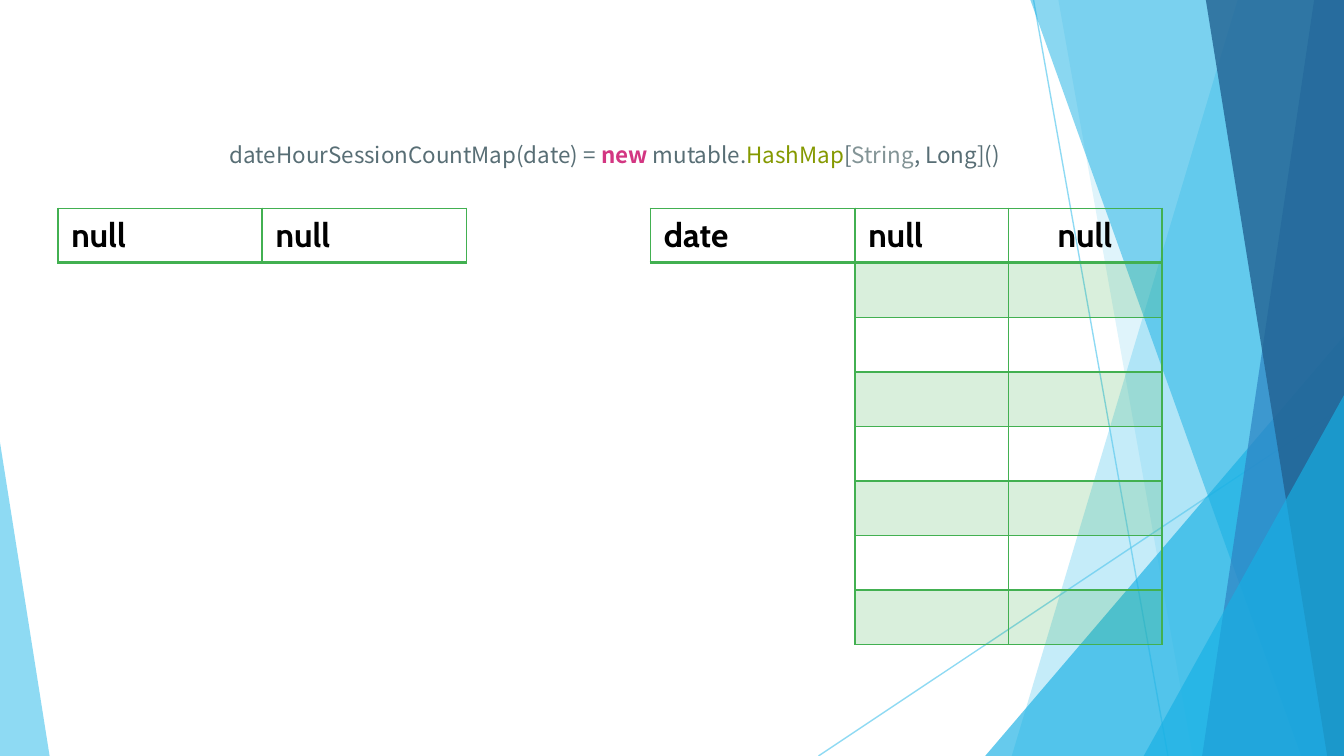
from dataclasses import dataclass

from lxml import etree
from pptx import Presentation
from pptx.dml.color import RGBColor
from pptx.enum.shapes import MSO_CONNECTOR, MSO_SHAPE
from pptx.enum.text import MSO_ANCHOR, MSO_AUTO_SIZE, PP_ALIGN
from pptx.oxml.ns import qn
from pptx.util import Pt

STRAIGHT = MSO_CONNECTOR.STRAIGHT
TRIANGLE = MSO_SHAPE.ISOSCELES_TRIANGLE
TOP = MSO_ANCHOR.TOP
GROW = MSO_AUTO_SIZE.SHAPE_TO_FIT_TEXT
LEFT, CENTER = PP_ALIGN.LEFT, PP_ALIGN.CENTER

WIDTH, HEIGHT = 720, 405
ROW_HEIGHT = 29.2
TABLE_TOP = 111.6
EMU_PER_POINT = 12700


@dataclass(frozen=True)
class Theme:
    sky: str = "5FCBEF"
    cyan: str = "17B0E4"
    blue: str = "2E83C3"
    navy: str = "226292"
    green: str = "42B051"
    black: str = "000000"
    code: str = "586E75"
    keyword: str = "D33682"
    type_name: str = "859900"
    muted: str = "839496"
    cell_font: str = "Cabin"
    code_font: str = "Noto Sans CJK SC"
    cell_size: int = 18
    code_size: int = 12


THEME = Theme()


def rgb(color):
    return RGBColor.from_string(color)


def set_fill(fill, color, alpha):
    """Solid fill with an opacity in percent."""
    fill.solid()
    fill.fore_color.rgb = rgb(color)
    clr = fill._xPr.find(qn("a:solidFill")).find(qn("a:srgbClr"))
    etree.SubElement(clr, qn("a:alpha"), val=str(alpha * 1000))


def finish_shape(sp, color, alpha):
    sp.shadow.inherit = False
    set_fill(sp.fill, color, alpha)
    sp.line.fill.background()


def add_thin_line(s, x1, y1, x2, y2):
    line = s.shapes.add_connector(STRAIGHT, Pt(x1), Pt(y1), Pt(x2), Pt(y2))
    line.line.width = Pt(0.75)
    set_fill(line.line.fill, THEME.sky, 70)
    etree.SubElement(line._element.spPr, qn("a:effectLst"))


def add_band(s, top_x, bottom_x, color, alpha):
    """Full-height band from a slanted left edge to the right slide edge."""
    builder = s.shapes.build_freeform(top_x, 0, scale=EMU_PER_POINT)
    builder.add_line_segments(
        [(WIDTH, 0), (WIDTH, HEIGHT), (bottom_x, HEIGHT)], close=True)
    finish_shape(builder.convert_to_shape(), color, alpha)


def add_corner(s, x, y, width, apex, color, alpha):
    """Right triangle standing on the bottom edge of the slide."""
    sp = s.shapes.add_shape(TRIANGLE, Pt(x), Pt(y), Pt(width), Pt(HEIGHT - y))
    sp.adjustments[0] = apex
    finish_shape(sp, color, alpha)


def add_background(s):
    add_thin_line(s, 553.7, 0, 625.7, HEIGHT)
    add_thin_line(s, WIDTH, 217.4, 438.5, HEIGHT)
    add_band(s, 663.1, 542.2, THEME.sky, 36)
    add_band(s, 567.4, 638.6, THEME.sky, 20)
    add_corner(s, 527.8, 180, 192.2, 1, THEME.cyan, 66)
    add_band(s, 551.5, 697, THEME.cyan, 50)
    add_band(s, 704.2, 643.7, THEME.blue, 70)
    add_band(s, 645.8, 711.4, THEME.navy, 80)
    add_corner(s, 612.7, 211.7, 107.3, 1, THEME.cyan, 66)
    add_corner(s, 0, 236.9, 26.6, 0, THEME.sky, 70)


def add_borders(cell, top, bottom):
    tcPr = cell._tc.get_or_add_tcPr()
    for side, width in (("L", 1), ("R", 1), ("T", top), ("B", bottom)):
        ln = etree.SubElement(tcPr, qn(f"a:ln{side}"), w=str(Pt(width)))
        solid = etree.SubElement(ln, qn("a:solidFill"))
        etree.SubElement(solid, qn("a:srgbClr"), val=THEME.green)


def add_run(p, text, font, size, color, bold=False):
    r = p.add_run()
    r.text = text
    r.font.name = font
    r.font.size = Pt(size)
    r.font.bold = bold
    r.font.color.rgb = rgb(color)


def add_map_table(s, x, col_width, headers, empty_rows=0):
    """Header cells over empty rows, every other row tinted."""
    rows, cols = 1 + empty_rows, len(headers)
    table = s.shapes.add_table(
        rows, cols, Pt(x), Pt(TABLE_TOP),
        Pt(col_width * cols), Pt(ROW_HEIGHT * rows)).table
    table.first_row = table.horz_banding = False
    for col in table.columns:
        col.width = Pt(col_width)
    for i, row in enumerate(table.rows):
        row.height = Pt(ROW_HEIGHT)
        for cell in row.cells:
            add_borders(cell, 2 if i == 1 else 1, 2 if i == 0 else 1)
            if i % 2:
                set_fill(cell.fill, THEME.green, 20)
            else:
                cell.fill.background()
    for j, (text, align) in enumerate(headers):
        p = table.cell(0, j).text_frame.paragraphs[0]
        p.alignment = align
        add_run(p, text, THEME.cell_font, THEME.cell_size, THEME.black, True)


def add_code_line(s, x, y, width, height, parts):
    tf = s.shapes.add_textbox(Pt(x), Pt(y), Pt(width), Pt(height)).text_frame
    tf.word_wrap = True
    tf.auto_size = GROW
    tf.vertical_anchor = TOP
    p = tf.paragraphs[0]
    for text, color, bold in parts:
        add_run(p, text, THEME.code_font, THEME.code_size, color, bold)


def main():
    prs = Presentation()
    prs.slide_width, prs.slide_height = Pt(WIDTH), Pt(HEIGHT)
    s = prs.slides.add_slide(prs.slide_layouts[6])

    add_background(s)

    # Inner hash map, its key, and the outer map entry
    add_map_table(s, 458, 82.2, [("null", LEFT), ("null", CENTER)], 7)
    for x, text in ((348.5, "date"), (31, "null"), (140.5, "null")):
        add_map_table(s, x, 109.5, [(text, LEFT)])

    # Statement that creates the inner map
    add_code_line(s, 115.9, 72, 517.7, 21.6, [
        ("dateHourSessionCountMap(date) = ", THEME.code, False),
        ("new ", THEME.keyword, True),
        ("mutable.", THEME.code, False),
        ("HashMap", THEME.type_name, False),
        ("[", THEME.code, False),
        ("String", THEME.muted, False),
        (", Long]()", THEME.code, False),
    ])

    prs.save("out.pptx")


if __name__ == "__main__":
    main()
